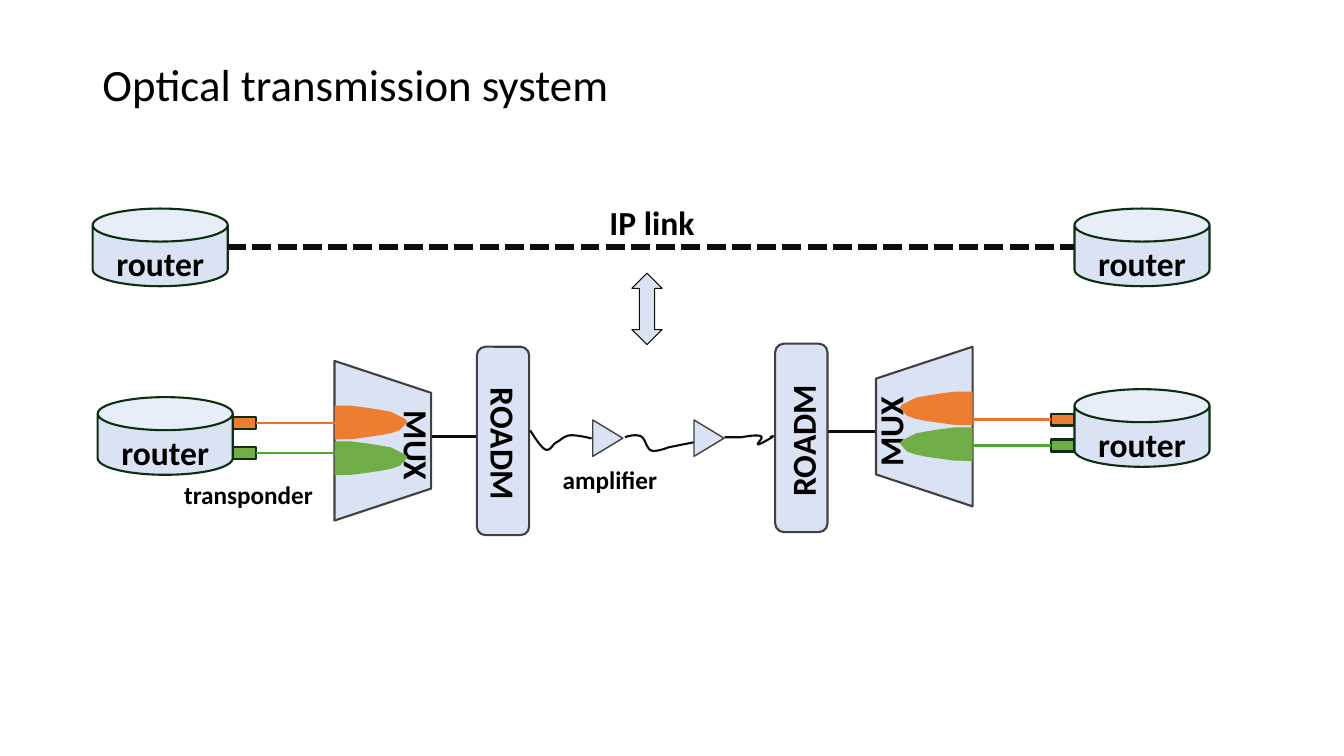
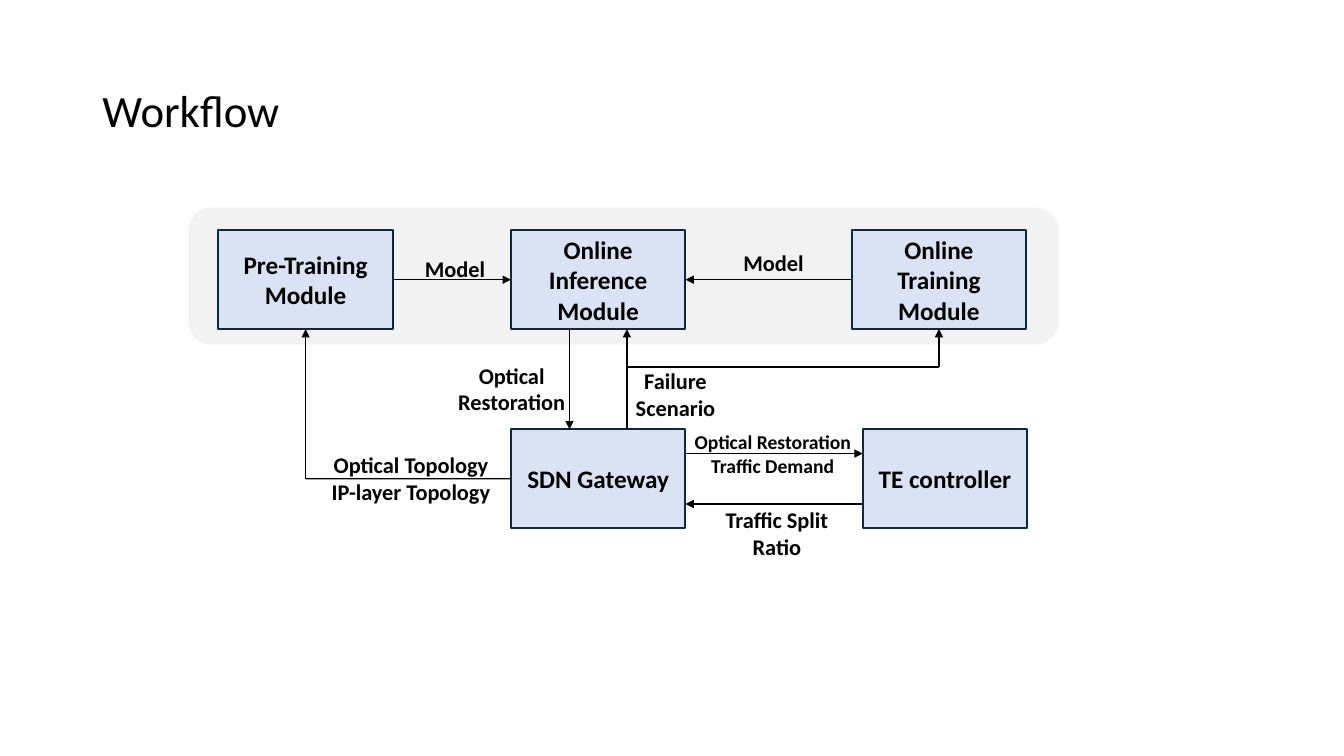
from collections import namedtuple

from pptx import Presentation
from pptx.dml.color import RGBColor
from pptx.enum.dml import MSO_LINE
from pptx.enum.shapes import MSO_CONNECTOR, MSO_SHAPE
from pptx.enum.text import MSO_ANCHOR, PP_ALIGN
from pptx.oxml.ns import qn
from pptx.oxml.xmlchemy import OxmlElement
from pptx.util import Pt

FONT = "Calibri"
COLORS = {
    "text": "000000", "box": "DAE3F3", "panel": "F2F2F2",
    "router_edge": "0B2F10", "node_edge": "092A39", "device_edge": "404040",
    "fiber": "0D0D0D", "flow": "000000",
    "orange": "ED7D31", "green": "70AD47",
    "orange_wire": "E97132", "green_wire": "4EA72E",
}
CAN, RECT, ROUNDED = MSO_SHAPE.CAN, MSO_SHAPE.RECTANGLE, MSO_SHAPE.ROUNDED_RECTANGLE
MUX_SHAPE = MSO_SHAPE.FLOWCHART_MANUAL_OPERATION
TRIANGLE, TWO_WAY = MSO_SHAPE.ISOSCELES_TRIANGLE, MSO_SHAPE.UP_DOWN_ARROW
STRAIGHT, DASH = MSO_CONNECTOR.STRAIGHT, MSO_LINE.SQUARE_DOT
MIDDLE, CENTER, LEFT = MSO_ANCHOR.MIDDLE, PP_ALIGN.CENTER, PP_ALIGN.LEFT
SIDE_LEFT, SIDE_BOTTOM, SIDE_RIGHT = 1, 2, 3

ROUTER_SIZE = (96.5, 55.5)
MUX_SIZE = (69, 114)
ROADM_SIZE = (37.4, 134.6)
NODE_HEIGHT = 70.6
PETAL = [(0, 0), (0, 24), (1.4, 24), (13, 23.8), (23.8, 22.3), (33, 21), (41, 19.4),
         (46.8, 17.3), (52, 11.5), (50.4, 9.4), (40.3, 4.3), (32.4, 2.9), (23, 1.4),
         (12.2, 0)]
# Each fiber: where it starts from, then Bezier points, three to a curve.
FIBERS = [
    ((378.7, 307.4),
     [(0, 0), (3.6, 5.8), (7.9, 12.2), (10.8, 13.7), (14.4, 15.1), (15.8, 10.1),
      (18.7, 8.6), (21.6, 7.2), (23.8, 4.3), (28.1, 3.6), (32.4, 2.9), (43.9, 5.8),
      (43.9, 5.8)]),
    ((446.4, 311),
     [(0, 1.4), (3.6, 0), (7.9, -0.7), (11.5, 0.7), (14.4, 2.2), (15.8, 10.1),
      (18.7, 10.8), (22.3, 12.2), (31, 8.6), (31, 8.6), (31, 8.6), (49, 5), (49, 5)]),
    ((517.7, 311),
     [(0, 1.4), (0, 1.4), (11.5, 1.4), (11.5, 1.4), (15.8, 0.7), (23.8, -0.7),
      (25.9, 0.7), (28.1, 1.4), (22.3, 6.5), (23.8, 6.5), (25.2, 6.5), (32.4, 2.2),
      (33.8, 1.4), (35.3, 0), (33.8, 0.7), (32.4, 1.4)]),
]

Joint = namedtuple("Joint", "shape side")


def rgb(name):
    return RGBColor.from_string(COLORS[name])


def write(frame, lines, size, bold=True, align=CENTER):
    """Fill a text frame, one paragraph for each line."""
    frame.word_wrap = True
    frame.vertical_anchor = MIDDLE
    for index, line in enumerate(lines):
        paragraph = frame.add_paragraph() if index else frame.paragraphs[0]
        paragraph.alignment = align
        run = paragraph.add_run()
        run.text = line
        run.font.name, run.font.size, run.font.bold = FONT, Pt(size), bold
        run.font.color.rgb = rgb("text")


def paint(shape, fill, edge, width=1.5):
    shape.shadow.inherit = False
    if fill:
        shape.fill.solid()
        shape.fill.fore_color.rgb = rgb(fill)
    else:
        shape.fill.background()
    if edge:
        shape.line.color.rgb = rgb(edge)
        shape.line.width = Pt(width)
    else:
        shape.line.fill.background()


def add_block(slide, kind, box, fill, edge, width=1.5, turn=0):
    """Add a preset shape that covers the box after a quarter turn, if any."""
    left, top, wide, high = box
    if turn:
        left, top = left + (wide - high) / 2, top + (high - wide) / 2
        wide, high = high, wide
    shape = slide.shapes.add_shape(kind, Pt(left), Pt(top), Pt(wide), Pt(high))
    shape.rotation = turn
    paint(shape, fill, edge, width)
    return shape


def add_outline(slide, points, closed, fill, edge):
    (x, y), *rest = [(Pt(px), Pt(py)) for px, py in points]
    builder = slide.shapes.build_freeform(x, y)
    builder.add_line_segments(rest, close=closed)
    paint(builder.convert_to_shape(), fill, edge)


def add_label(slide, lines, center, width, size, turn=0):
    x, y = center
    high = size * 1.25 * len(lines)
    label = slide.shapes.add_textbox(Pt(x - width / 2), Pt(y - high / 2), Pt(width), Pt(high))
    label.rotation = turn
    frame = label.text_frame
    frame.margin_left = frame.margin_right = frame.margin_top = frame.margin_bottom = 0
    write(frame, lines, size)


def add_link(slide, start, end, color="flow", width=1, arrow=False, dash=None):
    """Draw a line between two ends, each a point or a Joint."""
    ends = [(0, 0) if isinstance(spot, Joint) else spot for spot in (start, end)]
    link = slide.shapes.add_connector(STRAIGHT, *(Pt(v) for spot in ends for v in spot))
    if isinstance(start, Joint):
        link.begin_connect(*start)
    if isinstance(end, Joint):
        link.end_connect(*end)
    link.line.color.rgb = rgb(color)
    link.line.width = Pt(width)
    if dash:
        link.line.dash_style = dash
    properties = link.element.spPr
    if arrow:
        head = OxmlElement("a:tailEnd")
        head.set("type", "triangle")
        properties.find(qn("a:ln")).append(head)
    properties.append(OxmlElement("a:effectLst"))


def add_titled_slide(deck, text, top):
    slide = deck.slides.add_slide(deck.slide_layouts[5])
    title = slide.shapes.title
    title.left, title.top, title.width, title.height = Pt(66), Pt(top), Pt(828), Pt(104.4)
    write(title.text_frame, [text], 32, bold=False, align=LEFT)
    title.text_frame.paragraphs[0].line_spacing = 0.9
    return slide


def add_router(slide, left, top):
    wide, high = ROUTER_SIZE
    can = add_block(slide, CAN, (left, top, wide, high), "box", "router_edge")
    can.adjustments[0] = 0.425
    add_label(slide, ["router"], (left + wide / 2, top + 39), wide, 24)


def add_mux(slide, left, top, ports, mirrored=False):
    """Draw a multiplexer, its two channels and their transponders.

    Offsets run from the wide side; ports are the heights of the two wires.
    """
    wide, high = MUX_SIZE
    sign = -1 if mirrored else 1
    base = left + wide if mirrored else left
    turn = 90 if mirrored else 270
    add_block(slide, MUX_SHAPE, (left, top, wide, high), "box", "device_edge", turn=turn)
    add_label(slide, ["MUX"], (base + sign * 59, top + 60.5), 70, 24, turn=360 - turn)
    for color, petal_top, port in zip(("orange", "green"), (32, 57.5), ports):
        outline = [(base + sign * x, top + petal_top + y) for x, y in PETAL]
        add_outline(slide, outline, True, color, None)
        card_left = base + 56 if mirrored else base - 72.5
        card = add_block(slide, RECT, (card_left, top + port - 4.3, 16.5, 8.6),
                         color, "router_edge")
        side = SIDE_LEFT if mirrored else SIDE_RIGHT
        add_link(slide, Joint(card, side), (base, top + port), color + "_wire", 1.5)


def add_roadm(slide, left, top, turn):
    wide, high = ROADM_SIZE
    add_block(slide, ROUNDED, (left, top, wide, high), "box", "device_edge")
    add_label(slide, ["ROADM"], (left + wide / 2 + 0.7, top + high / 2 + 2), 105, 24, turn)


def add_fiber(slide, origin, controls):
    """Trace the Bezier curves of one fiber in short steps."""
    steps = 12
    trace = [controls[0]]
    for first in range(0, len(controls) - 1, 3):
        curve = controls[first:first + 4]
        for step in range(1, steps + 1):
            t = step / steps
            weights = ((1 - t) ** 3, 3 * t * (1 - t) ** 2, 3 * t * t * (1 - t), t ** 3)
            trace.append(tuple(sum(w * spot[axis] for w, spot in zip(weights, curve))
                               for axis in (0, 1)))
    points = [(origin[0] + x, origin[1] + y) for x, y in trace]
    add_outline(slide, points, False, None, "fiber")


def add_node(slide, text, left, top, width=124.6):
    node = add_block(slide, RECT, (left, top, width, NODE_HEIGHT), "box", "node_edge")
    write(node.text_frame, [text], 18)
    return node


def build_optical_system(deck):
    slide = add_titled_slide(deck, "Optical transmission system", 10)

    for left, top in ((66.2, 149), (767.5, 149), (69.8, 283.7), (767.5, 278)):
        add_router(slide, left, top)
    add_link(slide, (162.3, 176.4), (767.5, 176.4), "fiber", 4.5, dash=DASH)
    add_label(slide, ["IP link"], (465.7, 158.6), 120, 24)
    add_block(slide, TWO_WAY, (451.4, 195.1, 21.6, 51.1), "box", "fiber", 0.75)

    add_link(slide, (308, 311.8), (340.6, 311.8), "fiber", 1.5)
    add_link(slide, (591.1, 308.2), (625.7, 308.2), "fiber", 1.5)
    add_mux(slide, 239, 257.8, ports=(44.5, 65.5))
    add_mux(slide, 625.7, 247.7, ports=(52, 70.5), mirrored=True)
    add_roadm(slide, 340.6, 247.7, turn=90)
    add_roadm(slide, 553.7, 245.5, turn=270)

    for left in (423.4, 495.7):
        add_block(slide, TRIANGLE, (left, 300, 21.5, 26), "box", "device_edge", 1, turn=90)
    for origin, controls in FIBERS:
        add_fiber(slide, origin, controls)
    add_label(slide, ["transponder"], (177.5, 353.5), 110, 18)
    add_label(slide, ["amplifier"], (435.7, 342.7), 100, 18)


def build_workflow(deck):
    slide = add_titled_slide(deck, "Workflow", 28.8)
    add_block(slide, ROUNDED, (135.4, 149, 620, 96.5), "panel", "panel")

    upper, lower = 164.5, 306.7
    pre_training = add_node(slide, "Pre-Training Module", 156, upper)
    inference = add_node(slide, "Online Inference Module", 365, upper)
    training = add_node(slide, "Online Training Module", 608.4, upper)
    gateway = add_node(slide, "SDN Gateway", 365, lower)
    add_node(slide, "TE controller", 616.3, lower, 117.4)

    upper_bottom = upper + NODE_HEIGHT
    gateway_right, controller_left = 489.6, 616.3
    topology_corner = (218.3, lower + NODE_HEIGHT / 2)
    failure_x, branch_y = 447.8, 262.1
    branch_corner = (670.7, branch_y)
    arrows = [
        (Joint(pre_training, SIDE_RIGHT), Joint(inference, SIDE_LEFT)),
        (Joint(training, SIDE_LEFT), Joint(inference, SIDE_RIGHT)),
        (topology_corner, Joint(pre_training, SIDE_BOTTOM)),
        ((failure_x, lower), (failure_x, upper_bottom)),
        ((406.8, upper_bottom), (406.8, lower)),
        (branch_corner, Joint(training, SIDE_BOTTOM)),
        ((gateway_right, 324), (controller_left, 324)),
        ((controller_left, 360), (gateway_right, 360)),
    ]
    for start, end in arrows:
        add_link(slide, start, end, arrow=True)
    add_link(slide, Joint(gateway, SIDE_LEFT), topology_corner)
    add_link(slide, (failure_x, branch_y), branch_corner)

    labels = [
        (["Model"], (325, 191.5), 50, 16),
        (["Model"], (552.5, 187.5), 50, 16),
        (["Optical Topology", "IP-layer Topology"], (293.6, 341.5), 142, 16),
        (["Optical", "Restoration"], (365.5, 277.5), 84, 16),
        (["Failure", "Scenario"], (482.5, 281.5), 68, 16),
        (["Optical Restoration", "Traffic Demand"], (552, 324), 139, 14),
        (["Traffic Split", "Ratio"], (555, 381), 89, 16),
    ]
    for label in labels:
        add_label(slide, *label)


def main():
    deck = Presentation()
    deck.slide_width, deck.slide_height = Pt(960), Pt(540)
    build_optical_system(deck)
    build_workflow(deck)
    deck.save("out.pptx")


if __name__ == "__main__":
    main()
